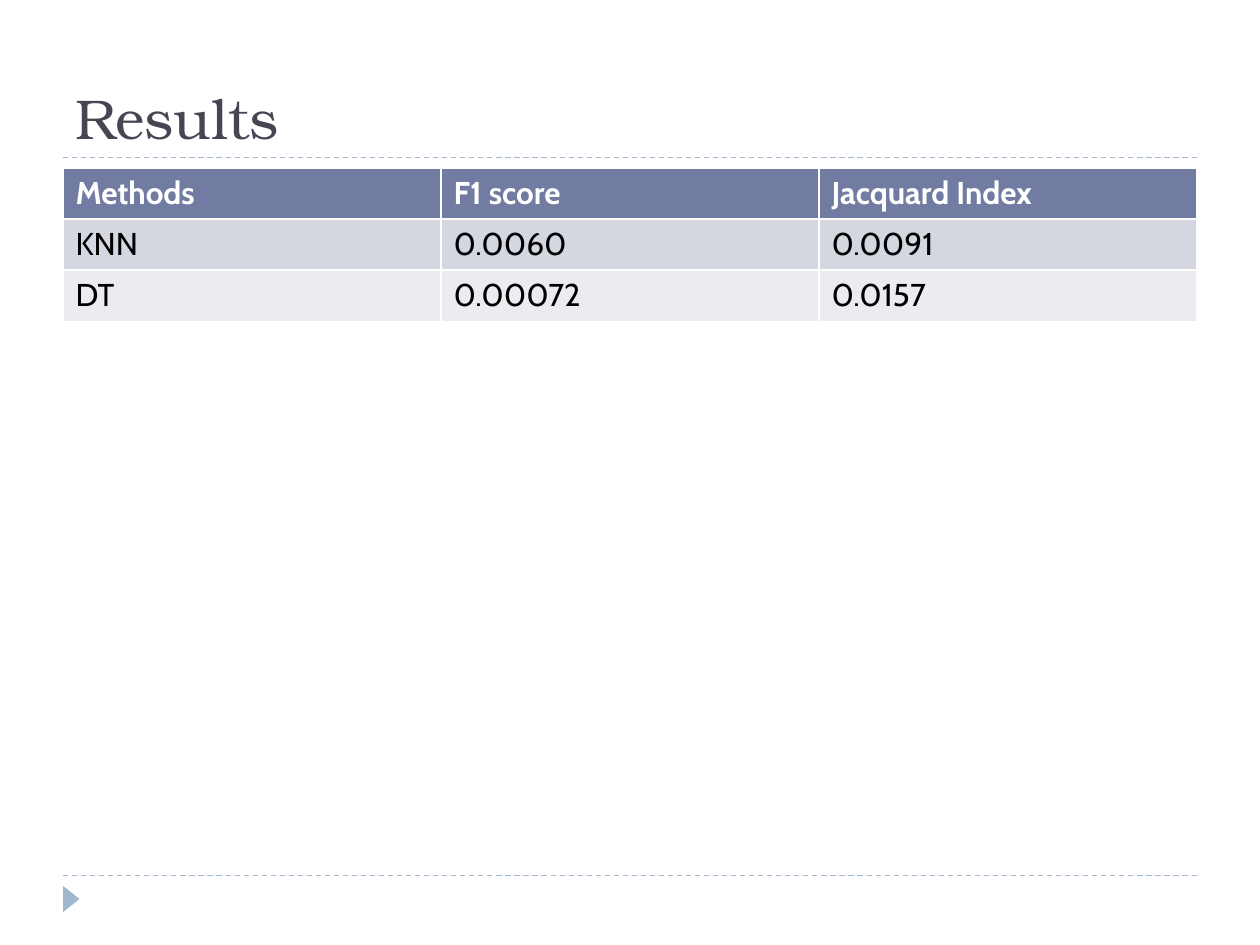
"""Build the Results slide with a table of method scores."""
from typing import NamedTuple

from pptx import Presentation
from pptx.dml.color import RGBColor
from pptx.enum.dml import MSO_LINE
from pptx.enum.shapes import MSO_CONNECTOR, MSO_SHAPE
from pptx.enum.text import MSO_ANCHOR, MSO_AUTO_SIZE, PP_ALIGN
from pptx.oxml.ns import qn
from pptx.util import Pt

COLORS = {
    "title": "464653",
    "accent": "9FB8CD",
    "header": "727CA3",
    "odd": "D5D7E0",
    "even": "EBECF0",
    "white": "FFFFFF",
    "black": "000000",
}
LEFT, WIDTH = 36, 648
ROW_HEIGHT = 29.2


class ScoreRow(NamedTuple):
    cells: tuple[str, str, str]
    fill: str
    color: str
    bold: bool


ROWS = [
    ScoreRow(("Methods", "F1 score", "Jacquard Index"), "header", "white", True),
    ScoreRow(("KNN", "0.0060", "0.0091"), "odd", "black", False),
    ScoreRow(("DT", "0.00072", "0.0157"), "even", "black", False),
]


def rgb(name: str) -> RGBColor:
    return RGBColor.from_string(COLORS[name])


def style_text(tf, font: str, size: float, color: str, bold: bool = False) -> None:
    for p in tf.paragraphs:
        p.alignment = PP_ALIGN.LEFT
        for r in p.runs:
            r.font.name = font
            r.font.size = Pt(size)
            r.font.bold = bold
            r.font.color.rgb = rgb(color)


def add_rule(s, y: float) -> None:
    line = s.shapes.add_connector(
        MSO_CONNECTOR.STRAIGHT, Pt(LEFT), Pt(y), Pt(LEFT + WIDTH), Pt(y)
    )
    line.line.color.rgb = rgb("accent")
    line.line.width = Pt(0.75)
    line.line.dash_style = MSO_LINE.DASH
    sp_pr = line._element.spPr
    sp_pr.append(sp_pr.makeelement(qn("a:effectLst"), {}))


def add_marker(s) -> None:
    sp = s.shapes.add_shape(
        MSO_SHAPE.ISOSCELES_TRIANGLE, Pt(33.2), Pt(509), Pt(15), Pt(9.4)
    )
    sp.rotation = 90
    sp.shadow.inherit = False
    sp.fill.solid()
    sp.fill.fore_color.rgb = rgb("accent")
    sp.line.fill.background()


def add_title(s) -> None:
    title = s.shapes.title
    title.left, title.top = Pt(LEFT), Pt(12)
    title.width, title.height = Pt(WIDTH), Pt(78)
    tf = title.text_frame
    tf.text = "Results"
    tf.vertical_anchor = MSO_ANCHOR.BOTTOM
    tf.auto_size = MSO_AUTO_SIZE.NONE
    style_text(tf, "TeX Gyre Bonum", 32, "title")


def add_scores(s, rows: list[ScoreRow]) -> None:
    table = s.shapes.add_table(
        len(rows), len(rows[0].cells), Pt(LEFT), Pt(96), Pt(WIDTH), Pt(ROW_HEIGHT * len(rows))
    ).table
    for row, line in zip(rows, table.rows):
        line.height = Pt(ROW_HEIGHT)
        for text, cell in zip(row.cells, line.cells):
            cell.text_frame.text = text
            cell.fill.solid()
            cell.fill.fore_color.rgb = rgb(row.fill)
            style_text(cell.text_frame, "Cabin", 18, row.color, row.bold)


def main() -> None:
    prs = Presentation()
    prs.slide_width, prs.slide_height = Pt(720), Pt(540)
    s = prs.slides.add_slide(prs.slide_layouts[5])
    for y in (500.4, 90):
        add_rule(s, y)
    add_marker(s)
    add_title(s)
    add_scores(s, ROWS)
    prs.save("out.pptx")


main()
